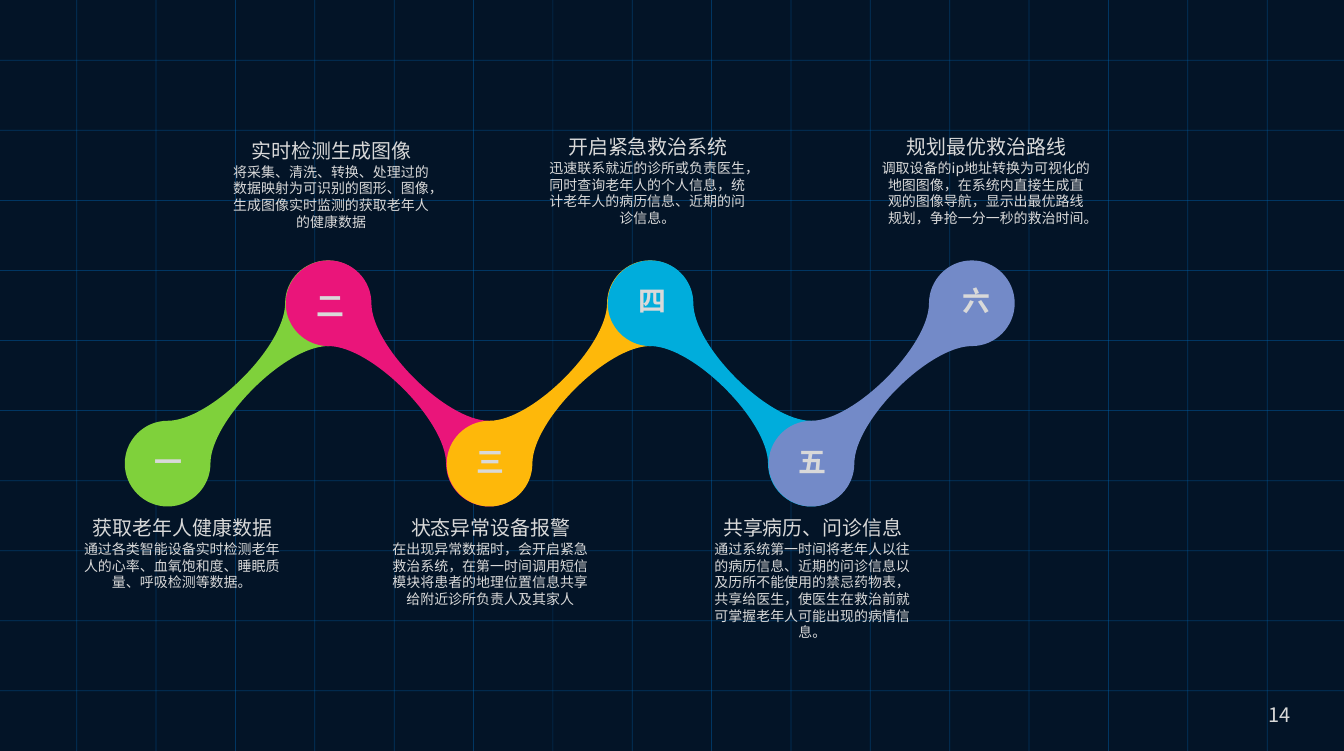
from math import cos, radians, sin

from lxml.etree import SubElement
from pptx import Presentation
from pptx.dml.color import RGBColor
from pptx.enum.shapes import MSO_CONNECTOR
from pptx.enum.text import MSO_ANCHOR, PP_ALIGN
from pptx.oxml.ns import qn
from pptx.util import Pt

FONT = "Noto Sans CJK SC"
WIDE, HIGH = 1349.28, 753.84
LEFT, TOP, PITCH = 125.3, 261.4, 161.6
SPAN, RAD, BOW = 161, 43, 0.55
LINKS = ["7FD13B", "EA157A", "FEB80A", "00ADDC", "738AC8"]
STEPS = [
    ("一", 150, 440.6, 77, 517.7, "获取老年人健康数据",
     "通过各类智能设备实时检测老年人的心率、血氧饱和度、睡眠质量、呼吸检测等数据。"),
    ("二", 312.5, 283.7, 226.8, 139, "实时检测生成图像",
     "将采集、清洗、转换、处理过的数据映射为可识别的图形、图像，生成图像实时监测的获取老年人的健康数据"),
    ("三", 473, 440.6, 386.6, 517.7, "状态异常设备报警",
     "在出现异常数据时，会开启紧急救治系统，在第一时间调用短信模块将患者的地理位置信息共享给附近诊所负责人及其家人"),
    ("四", 635.8, 278.6, 544.3, 135.4, "开启紧急救治系统",
     "迅速联系就近的诊所或负责医生，同时查询老年人的个人信息，统计老年人的病历信息、近期的问诊信息。"),
    ("五", 796.3, 440.6, 709.9, 517.7, "共享病历、问诊信息",
     "通过系统第一时间将老年人以往的病历信息、近期的问诊信息以及历所不能使用的禁忌药物表，"
     "共享给医生，使医生在救治前就可掌握老年人可能出现的病情信息。"),
    ("六", 960.5, 278.6, 884.2, 135.4, "规划最优救治路线",
     "调取设备的ip地址转换为可视化的地图图像，在系统内直接生成直观的图像导航，显示出最优路线规划，争抢一分一秒的救治时间。"),
]


def paint(color, code):
    """Set a colour from a hex string."""
    color.rgb = RGBColor.from_string(code)


def write(slide, box, text, size, bold=False, wrap=True, lead=None, mid=False):
    """Place one centred paragraph in the given box."""
    shape = slide.shapes.add_textbox(*map(Pt, box))
    frame = shape.text_frame
    frame.margin_left = frame.margin_right = 0
    frame.margin_top = frame.margin_bottom = 0
    frame.word_wrap = wrap
    frame.vertical_anchor = MSO_ANCHOR.MIDDLE if mid else MSO_ANCHOR.TOP
    para = frame.paragraphs[0]
    para.text = text
    para.alignment = PP_ALIGN.CENTER
    if lead:
        para.line_spacing = Pt(lead)
    font = para.font
    font.size, font.bold, font.name = Pt(size), bold, FONT
    font.fill.solid()
    paint(font.fill.fore_color, "D9D9D9")
    base = para._p.pPr.find(qn("a:defRPr"))
    SubElement(base, qn("a:ea"), typeface=FONT)


def rule(slide, start, end):
    """Draw one faint grid line."""
    line = slide.shapes.add_connector(
        MSO_CONNECTOR.STRAIGHT, *map(Pt, start + end))
    line.line.width = Pt(0.75)
    line.line.fill.solid()
    paint(line.line.fill.fore_color, "006BBC")
    props = line._element.spPr
    tint = next(props.iter(qn("a:srgbClr")))
    SubElement(tint, qn("a:alpha"), val="40000")
    SubElement(props, qn("a:effectLst"))


def grid(slide, wide, high):
    """Cover the slide with evenly spaced lines."""
    for row in range(10):
        y = 60.5 + 70.33 * row
        rule(slide, (0, y), (wide, y))
    for col in range(16):
        x = 77 + 79.68 * col
        rule(slide, (x, 0), (x, high))


def arc(x, y, start):
    """Return three quarter turns of a circle as cubic curves."""
    turns = []
    for angle in (start, start - 90, start - 180):
        c, s = RAD * cos(radians(angle)), RAD * sin(radians(angle))
        turns.append([(x + c + BOW * s, y + s - BOW * c),
                      (x + BOW * c + s, y + BOW * s - c),
                      (x + s, y - c)])
    return turns


def link(slide, left, top, color, falls):
    """Draw two discs joined by a waist, mirrored where it falls."""
    near, far = RAD, RAD + SPAN
    size = near + far
    bend, turn = (far - RAD, near + RAD), (near + RAD, far - RAD)
    curves = (arc(near, far, -90) + [[turn, bend, (far, near + RAD)]]
              + arc(far, near, 90) + [[bend, turn, (near, far - RAD)]])
    curves = [[(Pt(left + (size - x if falls else x)), Pt(top + y))
               for x, y in curve] for curve in curves]
    ends = [curve[-1] for curve in curves]
    form = slide.shapes.build_freeform(*ends[-1], scale=1)
    form.add_line_segments(ends, close=True)
    shape = form.convert_to_shape()
    sides = list(shape._element.iter(qn("a:lnTo")))
    for side, curve in zip(sides, curves):
        side.clear()
        side.tag = qn("a:cubicBezTo")
        for x, y in curve:
            SubElement(side, qn("a:pt"),
                       x=str(x - shape.left), y=str(y - shape.top))
    shape.shadow.inherit = False
    shape.fill.solid()
    paint(shape.fill.fore_color, color)
    shape.line.fill.background()


def label(slide, left, top, head, body):
    """Place a heading with its text below."""
    write(slide, (left, top, 212.4, 24.5), head, 20, lead=23.8)
    write(slide, (left + 0.5, top + 25, 210.2, 68), body, 14, lead=16.7)


def chain(slide, left, top):
    """Draw the links, then the numerals and labels of the steps."""
    for place, color in enumerate(LINKS):
        link(slide, left + PITCH * place, top, color, place % 2)
    for mark, x, y, side, head, title, body in STEPS:
        write(slide, (x, y, 39, 45.4), mark, 28, True, wrap=False, mid=True)
        label(slide, side, head, title, body)


def main():
    """Build and save the slide."""
    deck = Presentation()
    deck.slide_width, deck.slide_height = Pt(WIDE), Pt(HIGH)
    slide = deck.slides.add_slide(deck.slide_layouts[6])
    fill = slide.background.fill
    fill.solid()
    paint(fill.fore_color, "031427")
    grid(slide, WIDE, HIGH)
    chain(slide, LEFT, TOP)
    write(slide, (1262.9, 705.6, 43.2, 41.8), "14", 20)
    deck.save("out.pptx")


if __name__ == "__main__":
    main()
